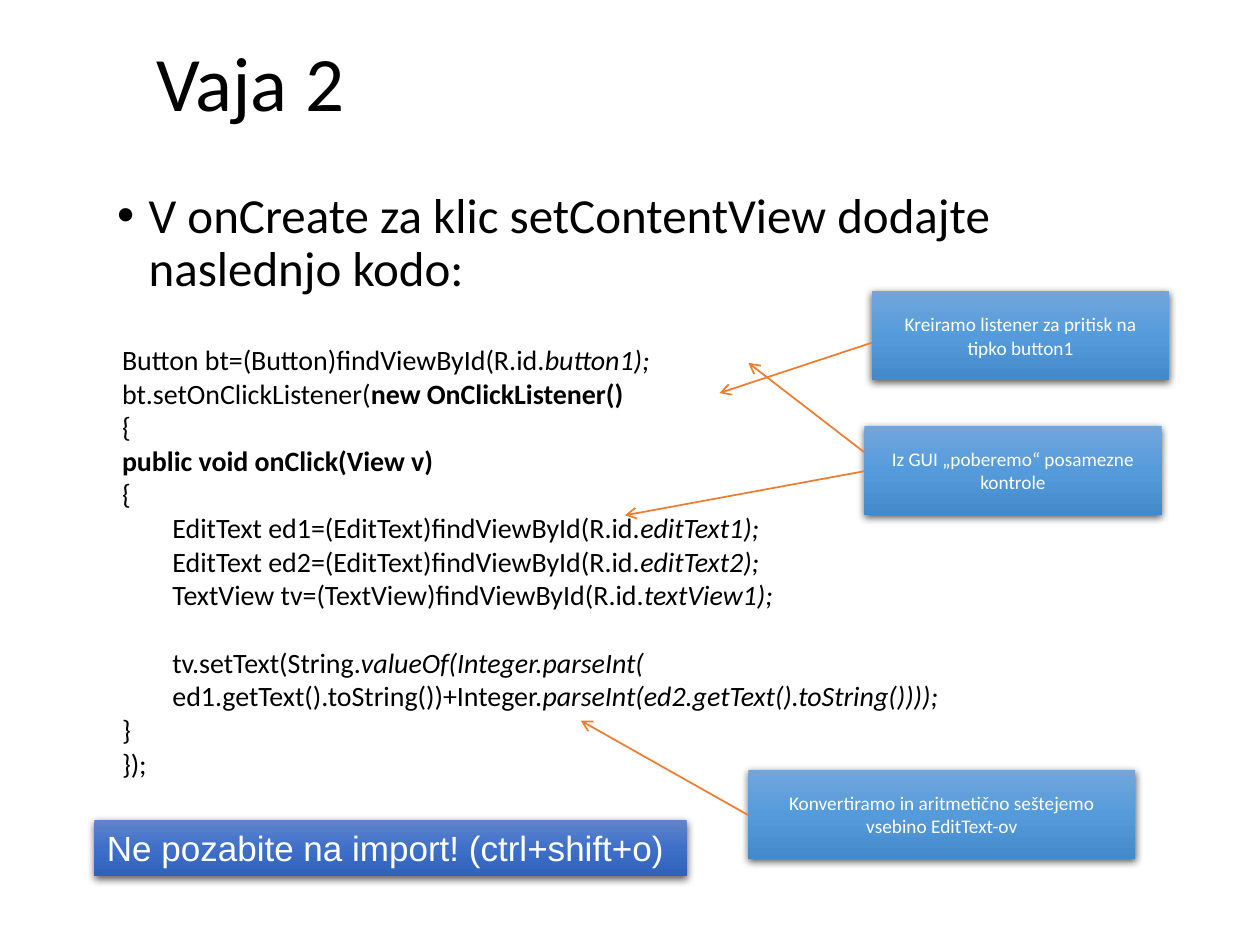
from pptx import Presentation
from pptx.dml.color import RGBColor
from pptx.enum.shapes import MSO_CONNECTOR as Connector, MSO_SHAPE as Shape
from pptx.enum.text import MSO_ANCHOR as Anchor, MSO_AUTO_SIZE as AutoSize, PP_ALIGN as Align
from pptx.oxml import parse_xml
from pptx.oxml.ns import nsdecls
from pptx.util import Inches, Pt

COLUMNS, ROWS = 100, 75
WIDTH, HEIGHT = Inches(10), Inches(7.5)
BLACK, WHITE, ORANGE = "000000", "FFFFFF", "ED7D31"
LIGHT_BLUE = ("71A6DB", "559BDB", "448ACA")
DEEP_BLUE = ("6183CB", "3E70CA", "3062BB")
CODE_SIZE, CODE_LINE = 16, 19.5

CODE = [
    (0, "Button bt=(Button)findViewById(R.id.", "button1);", "italic"),
    (0, "bt.setOnClickListener(", "new OnClickListener()", "bold"),
    (0, "{", "", ""),
    (0, "", "public void onClick(View v)", "bold"),
    (0, "{", "", ""),
    (1, "EditText ed1=(EditText)findViewById(R.id.", "editText1);", "italic"),
    (1, "EditText ed2=(EditText)findViewById(R.id.", "editText2);", "italic"),
    (1, "TextView tv=(TextView)findViewById(R.id.", "textView1);", "italic"),
    (1, "tv.setText(String.", "valueOf(Integer.parseInt(", "italic"),
    (1, "ed1.getText().toString())+Integer.", "parseInt(ed2.getText().toString())));", "italic"),
    (0, "}", "", ""),
    (0, "});", "", ""),
]
CALLOUTS = [
    ((68.6, 33.8, 23.6, 7.1), "Iz GUI „poberemo“ posamezne kontrole",
     [(37.4, 49.6, 40.9), (35.9, 59.4, 28.8)]),
    ((69.2, 23.1, 23.6, 7.1), "Kreiramo listener za pritisk na tipko button1",
     [(27.2, 57.1, 31.2)]),
    ((59.4, 61.1, 30.7, 7.1), "Konvertiramo in aritmetično seštejemo vsebino EditText-ov",
     [(64.7, 46.1, 57.2)]),
]


def color(value):
    """Turn a hex string into a colour."""
    return RGBColor.from_string(value)


def across(columns):
    """Length of a number of grid columns."""
    return round(WIDTH * columns / COLUMNS)


def down(rows):
    """Length of a number of grid rows."""
    return round(HEIGHT * rows / ROWS)


def place(box):
    """Left, top, width and height of a grid box."""
    left, top, width, height = box
    return across(left), down(top), across(width), down(height)


def move(placeholder, box):
    """Move a placeholder to a grid box."""
    placeholder.left, placeholder.top, placeholder.width, placeholder.height = place(box)


def write(paragraph, text, size=11, font="Calibri", ink=BLACK, align=Align.LEFT,
          spacing=None, before=0, bold=False, italic=False):
    """Add one formatted run to a paragraph."""
    paragraph.alignment = align
    paragraph.space_before = Pt(before)
    if spacing:
        paragraph.line_spacing = spacing
    run = paragraph.add_run()
    run.text = text
    run.font.name, run.font.size = font, Pt(size)
    run.font.bold, run.font.italic = bold, italic
    run.font.color.rgb = color(ink)


def indent(paragraph, margin, first=0):
    """Set the left margin and first-line indent in columns."""
    properties = paragraph._p.get_or_add_pPr()
    properties.set("marL", str(across(margin)))
    properties.set("indent", str(across(first)))


def add_heading(slide, box):
    """Fill the title placeholder."""
    title = slide.shapes.title
    move(title, box)
    frame = title.text_frame
    frame.auto_size, frame.vertical_anchor = AutoSize.NONE, Anchor.MIDDLE
    write(frame.paragraphs[0], "Vaja 2", size=44, spacing=0.9)


def add_task(slide, box):
    """Fill the body placeholder with the bulleted task."""
    task = slide.placeholders[1]
    move(task, box)
    frame = task.text_frame
    frame.auto_size = AutoSize.NONE
    line = frame.paragraphs[0]
    write(line, "V onCreate za klic setContentView dodajte naslednjo kodo:",
          size=28, spacing=0.9, before=10)
    indent(line, 2.5, -2.5)


def add_code(slide, box):
    """Set the code listing, indented by depth."""
    frame = slide.shapes.add_textbox(*place(box)).text_frame
    frame.word_wrap = True
    for number, (depth, plain, marked, style) in enumerate(CODE):
        line = frame.add_paragraph() if number else frame.paragraphs[0]
        gap = CODE_LINE if plain.startswith("tv.") else 0
        if plain:
            write(line, plain, size=CODE_SIZE, before=gap)
        if marked:
            write(line, marked, size=CODE_SIZE, before=gap, **{style: True})
        indent(line, 2 + 4 * depth)


def add_panel(slide, box, shades):
    """Draw a shaded rectangle with a soft shadow and return its text frame."""
    panel = slide.shapes.add_shape(Shape.RECTANGLE, *place(box))
    panel.line.fill.background()
    panel.fill.gradient()
    panel.fill.gradient_angle = 270
    stops = "".join(f'<a:gs pos="{step * 50000}"><a:srgbClr val="{shade}"/></a:gs>'
                    for step, shade in enumerate(shades))
    properties = panel._element.spPr
    fill = properties.find(".//{*}gradFill")
    fill.replace(fill.find("{*}gsLst"),
                 parse_xml(f'<a:gsLst {nsdecls("a")}>{stops}</a:gsLst>'))
    panel.shadow.inherit = False
    properties.find("{*}effectLst").append(parse_xml(
        f'<a:outerShdw {nsdecls("a")} blurRad="{Pt(4.5)}" dist="{Pt(1.5)}" dir="5400000" '
        'algn="ctr" rotWithShape="0"><a:srgbClr val="000000"><a:alpha val="63000"/>'
        '</a:srgbClr></a:outerShdw>'))
    frame = panel.text_frame
    frame.word_wrap = True
    return frame


def add_arrow(slide, start, end):
    """Draw an open-headed arrow between two grid points."""
    arrow = slide.shapes.add_connector(Connector.STRAIGHT, across(start[0]), down(start[1]),
                                       across(end[0]), down(end[1]))
    arrow.line.color.rgb, arrow.line.width = color(ORANGE), Pt(1)
    arrow.line._get_or_add_ln().append(parse_xml(f'<a:tailEnd {nsdecls("a")} type="arrow"/>'))
    arrow._element.spPr.append(parse_xml(f'<a:effectLst {nsdecls("a")}/>'))


def add_callout(slide, box, note, targets):
    """Draw a note with arrows from its left edge to the code."""
    frame = add_panel(slide, box, LIGHT_BLUE)
    frame.vertical_anchor = Anchor.MIDDLE
    write(frame.paragraphs[0], note, ink=WHITE, align=Align.CENTER)
    for exit_row, column, row in targets:
        add_arrow(slide, (box[0], exit_row), (column, row))


def add_reminder(slide, box):
    """Draw the closing reminder bar."""
    frame = add_panel(slide, box, DEEP_BLUE)
    frame.vertical_anchor = Anchor.TOP
    write(frame.paragraphs[0], "Ne pozabite na import! (ctrl+shift+o)",
          size=20, font="Arial", ink=WHITE)


def main():
    """Build and save the slide."""
    deck = Presentation()
    deck.slide_width, deck.slide_height = WIDTH, HEIGHT
    slide = deck.slides.add_slide(deck.slide_layouts[1])
    add_heading(slide, (11.4, 0.6, 76.8, 12.5))
    add_task(slide, (8.3, 14.7, 77.3, 38.4))
    add_code(slide, (6.7, 26.7, 85.8, 36))
    for box, note, targets in CALLOUTS:
        add_callout(slide, box, note, targets)
    add_reminder(slide, (7.5, 65.1, 47, 4.4))
    deck.save("out.pptx")


if __name__ == "__main__":
    main()
